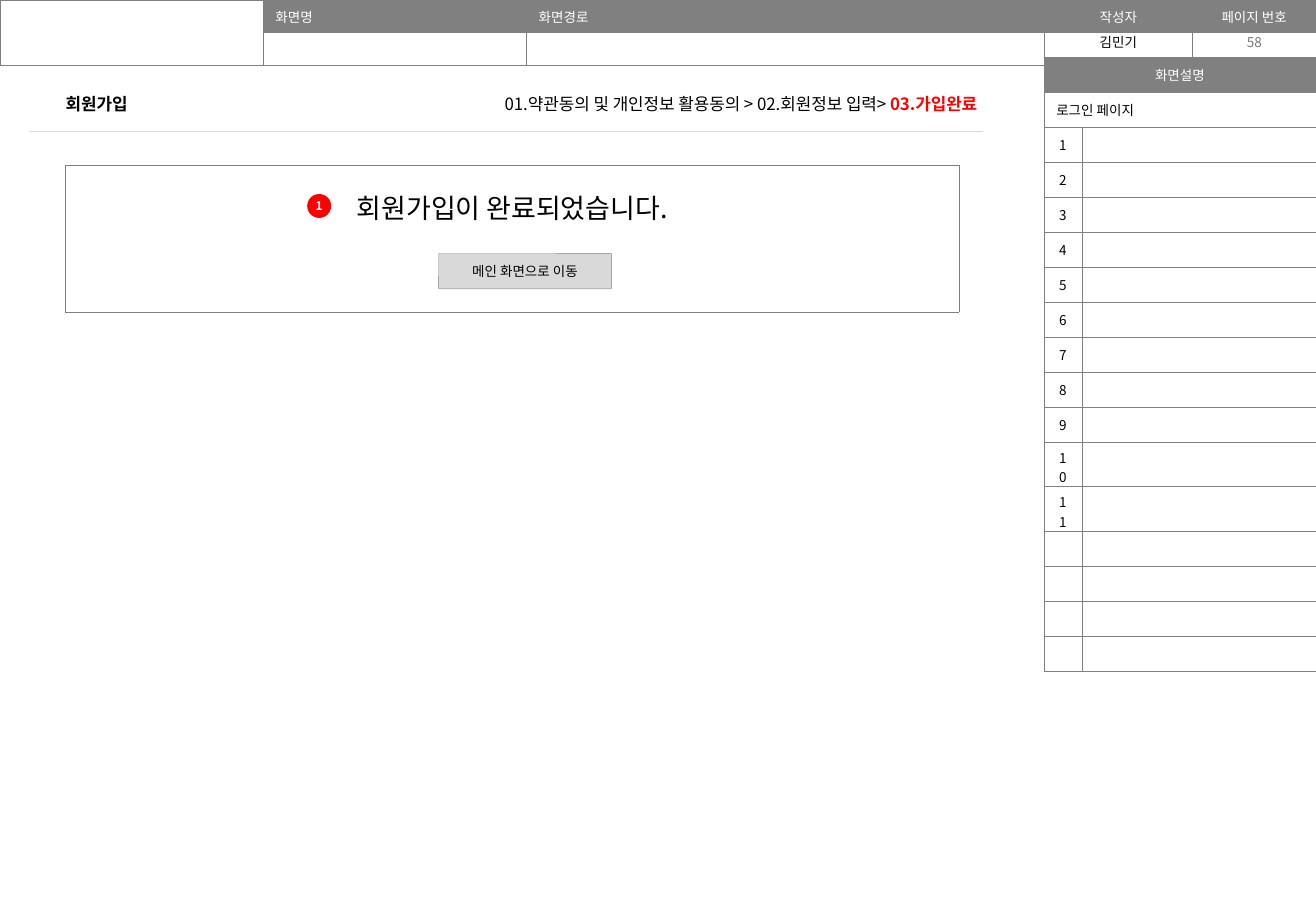
from lxml.etree import SubElement
from pptx import Presentation
from pptx.dml.color import RGBColor
from pptx.enum.shapes import MSO_CONNECTOR, MSO_SHAPE
from pptx.enum.text import MSO_ANCHOR as ANCHOR, MSO_AUTO_SIZE, PP_ALIGN as ALIGN
from pptx.oxml.ns import qn
from pptx.util import Pt

FONT = "Noto Sans CJK KR"
BLACK = RGBColor(0, 0, 0)
WHITE = RGBColor(255, 255, 255)
RED = RGBColor(255, 0, 0)
GRAY = RGBColor(0x80, 0x80, 0x80)
PAGE_GRAY = RGBColor(0x79, 0x79, 0x79)
LIGHT_GRAY = RGBColor(0xD9, 0xD9, 0xD9)

HEADINGS = [
    ("화면명", ALIGN.LEFT),
    ("화면경로", ALIGN.LEFT),
    ("작성자", ALIGN.CENTER),
    ("페이지 번호", ALIGN.CENTER),
]
AUTHOR = "김민기"
PAGE_NUMBER = "58"
TITLE = "회원가입"
DONE_STEPS = "01.약관동의 및 개인정보 활용동의 > 02.회원정보 입력> "
CURRENT_STEP = "03.가입완료"
MESSAGE = "회원가입이 완료되었습니다."
BUTTON = "메인 화면으로 이동"
MARKER = "1"
NOTES_HEADING = "화면설명"
NOTES_SUBJECT = "로그인 페이지"
NOTE_NUMBERS = [str(n) for n in range(1, 12)] + [""] * 4

HEADER_COLUMNS = [156, 156, 306.7, 88, 73]
HEADER_ROW = 19.25
NOTES_LEFT, NOTES_TOP = 618.7, 34
NOTES_COLUMNS = [22.3, 138.7]
NOTES_ROW, NOTES_TALL_ROW = 20.74, 26.4


def style(font, size, color, bold=False):
    font.size, font.bold, font.name = Pt(size), bold, FONT
    font.color.rgb = color
    SubElement(font._rPr, qn("a:ea"), typeface=FONT)


def write(frame, text, size=8, color=BLACK, align=ALIGN.CENTER, bold=False):
    paragraph = frame.paragraphs[0]
    paragraph.alignment = align
    style(paragraph.font, size, color, bold)
    if text:
        paragraph.add_run().text = text
    else:
        SubElement(paragraph._p, qn("a:endParaRPr"), sz=str(size * 100))


def set_up(frame, side=7.2, anchor=ANCHOR.MIDDLE):
    frame.word_wrap = True
    frame.auto_size = MSO_AUTO_SIZE.NONE
    frame.vertical_anchor = anchor
    frame.margin_left = frame.margin_right = Pt(side)
    frame.margin_top = frame.margin_bottom = 0
    return frame


def add_label(left, top, width, height):
    box = slide.shapes.add_textbox(Pt(left), Pt(top), Pt(width), Pt(height))
    return set_up(box.text_frame)


def add_box(kind, left, top, width, height, fill, corner):
    box = slide.shapes.add_shape(kind, Pt(left), Pt(top), Pt(width), Pt(height))
    box.shadow.inherit = False
    box.adjustments[0] = corner
    box.fill.solid()
    box.fill.fore_color.rgb = fill
    set_up(box.text_frame, 0)
    return box


def add_grid(left, top, columns, rows):
    table = slide.shapes.add_table(
        len(rows), len(columns), Pt(left), Pt(top), Pt(sum(columns)), Pt(sum(rows))
    ).table
    table.first_row = table.horz_banding = False
    for column, width in zip(table.columns, columns):
        column.width = Pt(width)
    for row, height in zip(table.rows, rows):
        row.height = Pt(height)
    for cell in table.iter_cells():
        properties = cell._tc.get_or_add_tcPr()
        for side in ("lnL", "lnR", "lnT", "lnB"):
            border = SubElement(properties, qn(f"a:{side}"), w=str(Pt(0.25)))
            paint = SubElement(border, qn("a:solidFill"))
            SubElement(paint, qn("a:srgbClr"), val=str(GRAY))
        cell.fill.background()
        cell.margin_top = cell.margin_bottom = 0
    return table


def fill_cell(cell, text, color=BLACK, align=ALIGN.CENTER, fill=None, size=8):
    cell.vertical_anchor = ANCHOR.MIDDLE
    write(cell.text_frame, text, size, color, align)
    if fill is not None:
        cell.fill.solid()
        cell.fill.fore_color.rgb = fill


prs = Presentation()
prs.slide_width, prs.slide_height = Pt(779.76), Pt(540)
slide = prs.slides.add_slide(prs.slide_layouts[5])

header = add_grid(0, 0, HEADER_COLUMNS, [HEADER_ROW] * 2)
header.cell(0, 0).merge(header.cell(1, 0))
for cell in header.iter_cells():
    if cell.is_merge_origin or cell.is_spanned:
        fill_cell(cell, "")
for column, (heading, align) in enumerate(HEADINGS, 1):
    fill_cell(header.cell(0, column), heading, WHITE, align, GRAY)
    fill_cell(header.cell(1, column), "")

write(add_label(NOTES_LEFT, 16.4, 88, 17.3), AUTHOR)
write(add_label(706.7, 16.4, 73, 17.3), PAGE_NUMBER, color=PAGE_GRAY)

title = slide.shapes.title
title.left, title.top, title.width, title.height = Pt(31.7), Pt(51), Pt(93), Pt(21.6)
write(set_up(title.text_frame), TITLE, 10, align=ALIGN.LEFT, bold=True)

rule = slide.shapes.add_connector(
    MSO_CONNECTOR.STRAIGHT, Pt(17.3), Pt(77.8), Pt(582.5), Pt(77.8)
)
rule.line.color.rgb = LIGHT_GRAY
rule.line.width = Pt(0.75)
SubElement(rule._element.spPr, qn("a:effectLst"))

note_rows = [NOTES_TALL_ROW if len(n) > 1 else NOTES_ROW for n in NOTE_NUMBERS]
notes = add_grid(NOTES_LEFT, NOTES_TOP, NOTES_COLUMNS, [NOTES_ROW] * 2 + note_rows)
for row in range(2):
    notes.cell(row, 0).merge(notes.cell(row, 1))
    fill_cell(notes.cell(row, 1), "")
fill_cell(notes.cell(0, 0), NOTES_HEADING, WHITE, fill=GRAY)
fill_cell(notes.cell(1, 0), NOTES_SUBJECT, align=ALIGN.LEFT)
for row, number in enumerate(NOTE_NUMBERS, 2):
    fill_cell(notes.cell(row, 0), number)
    fill_cell(notes.cell(row, 1), "")
    if len(number) > 1:
        notes.cell(row, 0).margin_top = Pt(3.2)

steps = add_label(214.6, 51, 371.5, 21.6).paragraphs[0]
steps.alignment = ALIGN.RIGHT
for text, color, bold in [(DONE_STEPS, BLACK, False), (CURRENT_STEP, RED, True)]:
    step = steps.add_run()
    step.text = text
    style(step.font, 10, color, bold)

panel = add_grid(38.9, 98, [529.2], [87.1]).cell(0, 0)
fill_cell(panel, MESSAGE, fill=WHITE, size=16)
panel.vertical_anchor = ANCHOR.TOP
panel.margin_top = Pt(13)

button = add_box(MSO_SHAPE.ROUNDED_RECTANGLE, 260, 150.3, 102.4, 20.9, LIGHT_GRAY, 0.02)
button.line.color.rgb = GRAY
button.line.width = Pt(0.25)
write(button.text_frame, BUTTON)

marker = add_box(MSO_SHAPE.ROUNDED_RECTANGLE, 182, 115, 14.2, 14.2, RED, 0.5)
marker.line.fill.background()
write(marker.text_frame, MARKER, 7, WHITE, bold=True)

prs.save("out.pptx")
